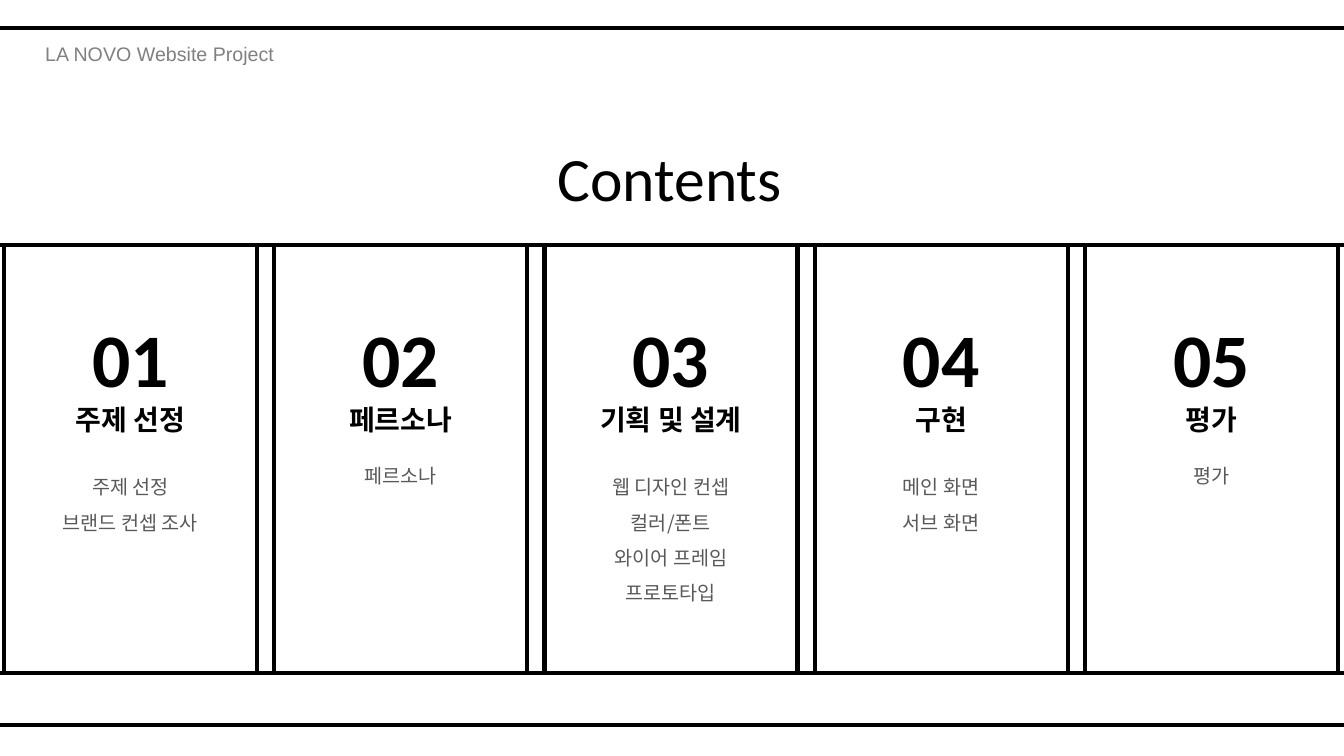
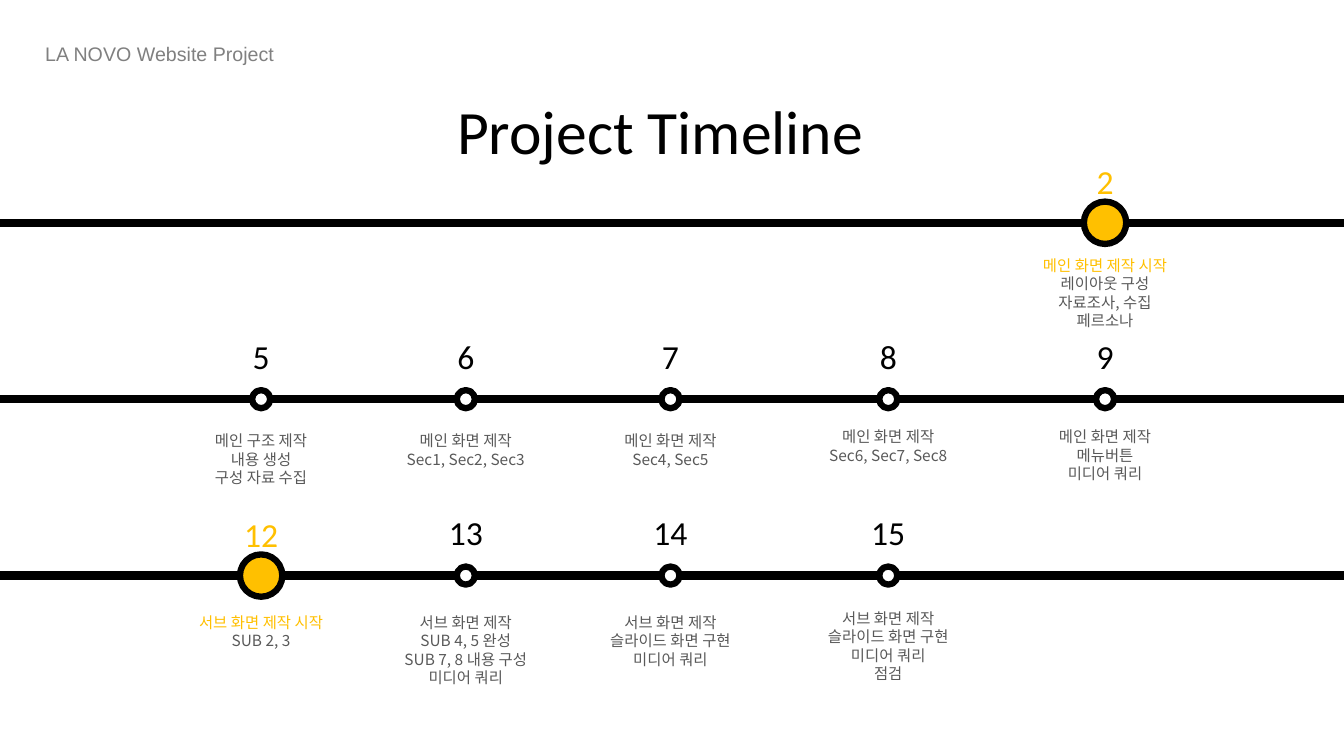
from lxml import etree
from pptx import Presentation
from pptx.dml.color import RGBColor
from pptx.enum import shapes, text
from pptx.oxml.ns import qn
from pptx.util import Inches, Pt

WIDTH, HEIGHT = 13.33, 7.5
BLACK, WHITE, GOLD = "000000", "FFFFFF", "FFC000"
HEADER_GREY, BODY_GREY = "808080", "595959"
HEADER_FONT, TITLE_FONT, KOREAN_FONT = "Arial", "Calibri", "Noto Sans CJK KR"
HEADER = "LA NOVO Website Project"

CHAPTERS = [
    ("01", "주제 선정", ["주제 선정", "브랜드 컨셉 조사"]),
    ("02", "페르소나", ["페르소나"]),
    ("03", "기획 및 설계", ["웹 디자인 컨셉", "컬러/폰트", "와이어 프레임", "프로토타입"]),
    ("04", "구현", ["메인 화면", "서브 화면"]),
    ("05", "평가", ["평가"]),
]

DAY_CENTRES = [2.59, 4.62, 6.65, 8.81, 10.96]
# Each week: gap from line to details, then (column, day, is milestone, details)
WEEKS = [
    (0.32, [
        (4, "2", True, ["메인 화면 제작 시작", "레이아웃 구성", "자료조사, 수집", "페르소나"]),
    ]),
    (0.27, [
        (0, "5", False, ["메인 구조 제작", "내용 생성", "구성 자료 수집"]),
        (1, "6", False, ["메인 화면 제작", "Sec1, Sec2, Sec3"]),
        (2, "7", False, ["메인 화면 제작", "Sec4, Sec5"]),
        (3, "8", False, ["메인 화면 제작", "Sec6, Sec7, Sec8"]),
        (4, "9", False, ["메인 화면 제작", "메뉴버튼", "미디어 쿼리"]),
    ]),
    (0.32, [
        (0, "12", True, ["서브 화면 제작 시작", "SUB 2, 3"]),
        (1, "13", False, ["서브 화면 제작", "SUB 4, 5 완성", "SUB 7, 8 내용 구성", "미디어 쿼리"]),
        (2, "14", False, ["서브 화면 제작", "슬라이드 화면 구현", "미디어 쿼리"]),
        (3, "15", False, ["서브 화면 제작", "슬라이드 화면 구현", "미디어 쿼리", "점검"]),
    ]),
]


def rgb(colour):
    return RGBColor.from_string(colour)


def style(paragraph, size, font, colour, bold=False, align=text.PP_ALIGN.CENTER):
    paragraph.alignment = align
    for run in paragraph.runs:
        run.font.size, run.font.bold, run.font.name = Pt(size), bold, font
        run.font.color.rgb = rgb(colour)
        east_asian = etree.Element(qn("a:ea"), typeface=KOREAN_FONT)
        run.font._element.find(qn("a:latin")).addnext(east_asian)


def add_text(slide, left, top, width, height, lines):
    """Add a text box and return its paragraphs, one a line."""
    frame = slide.shapes.add_textbox(
        Inches(left), Inches(top), Inches(width), Inches(height)).text_frame
    frame.word_wrap = True
    frame.text = "\n".join(lines)
    return frame.paragraphs


def add_rule(slide, y, weight):
    """Draw a horizontal line across the whole slide."""
    rule = slide.shapes.add_connector(
        shapes.MSO_CONNECTOR.STRAIGHT, 0, Inches(y), Inches(WIDTH), Inches(y))
    rule.line.color.rgb = rgb(BLACK)
    rule.line.width = Pt(weight)
    etree.SubElement(rule._element.spPr, qn("a:effectLst"))


def add_outlined(slide, kind, left, top, width, height, fill, weight):
    outlined = slide.shapes.add_shape(
        kind, Inches(left), Inches(top), Inches(width), Inches(height))
    outlined.shadow.inherit = False
    outlined.fill.solid()
    outlined.fill.fore_color.rgb = rgb(fill)
    outlined.line.color.rgb = rgb(BLACK)
    outlined.line.width = Pt(weight)


def new_slide(deck, title, left, top):
    """Add a slide with the shared header and title style."""
    slide = deck.slides.add_slide(deck.slide_layouts.get_by_name("Title Only"))
    heading = slide.shapes.title
    heading.left, heading.top = Inches(left), Inches(top)
    heading.width, heading.height = Inches(8.8), Inches(0.84)
    heading.text_frame.text = title
    heading.text_frame.auto_size = text.MSO_AUTO_SIZE.NONE
    heading.text_frame.vertical_anchor = text.MSO_ANCHOR.TOP
    style(heading.text_frame.paragraphs[0], 44, TITLE_FONT, BLACK)
    header = add_text(slide, 0.35, 0.37, 4.87, 0.34, [HEADER])
    style(header[0], 14, HEADER_FONT, HEADER_GREY, align=text.PP_ALIGN.LEFT)
    return slide


def add_chapter(slide, left, top, width, height, chapter):
    number, name, topics = chapter
    add_outlined(slide, shapes.MSO_SHAPE.RECTANGLE, left, top, width, height, WHITE, 3)
    inset = 0.14
    text_left, text_width = left + inset, width - 2 * inset
    heading = add_text(slide, text_left, top + 0.61, text_width, 1.35, [number, name])
    for paragraph, size in zip(heading, (54, 20)):
        style(paragraph, size, TITLE_FONT, BLACK, bold=True)
    for paragraph in add_text(slide, text_left, top + 2.12, text_width, 1.5, topics):
        style(paragraph, 14, KOREAN_FONT, BODY_GREY)
        paragraph.line_spacing = 1.5 if len(topics) > 1 else 1.0


def contents_slide(deck):
    slide = new_slide(deck, "Contents", 2.24, 1.34)
    top, bottom = 2.43, 6.68
    for y in (0.28, top, bottom, 7.19):
        add_rule(slide, y, 3)
    for column, chapter in enumerate(CHAPTERS):
        add_chapter(slide, 0.04 + 2.68 * column, top, 2.51, bottom - top, chapter)


def add_day(slide, centre, y, details_top, day, milestone, details):
    """Place a marker on the line at y, its date above and its details below."""
    size, fill = (0.42, GOLD) if milestone else (0.18, WHITE)
    add_outlined(slide, shapes.MSO_SHAPE.OVAL, centre - size / 2, y - size / 2,
                 size, size, fill, 4.5)
    date_top = y - (0.66 if milestone else 0.68)
    date = add_text(slide, centre - 0.47, date_top, 0.94, 0.5, [day])
    style(date[0], 24, TITLE_FONT, GOLD if milestone else BLACK)
    tasks = add_text(slide, centre - 1.12, details_top, 2.24, 0.84, details)
    for index, paragraph in enumerate(tasks):
        highlighted = milestone and index == 0
        style(paragraph, 11, KOREAN_FONT, GOLD if highlighted else BODY_GREY)


def timeline_slide(deck):
    slide = new_slide(deck, "Project Timeline", 2.15, 0.87)
    for row, (details_gap, days) in enumerate(WEEKS):
        y = 2.21 + 1.75 * row
        add_rule(slide, y, 6)
        for column, day, milestone, details in days:
            raised = 0.04 if column >= 3 else 0
            add_day(slide, DAY_CENTRES[column], y, y + details_gap - raised,
                    day, milestone, details)


def main():
    deck = Presentation()
    deck.slide_width, deck.slide_height = Inches(WIDTH), Inches(HEIGHT)
    contents_slide(deck)
    timeline_slide(deck)
    deck.save("out.pptx")


if __name__ == "__main__":
    main()
